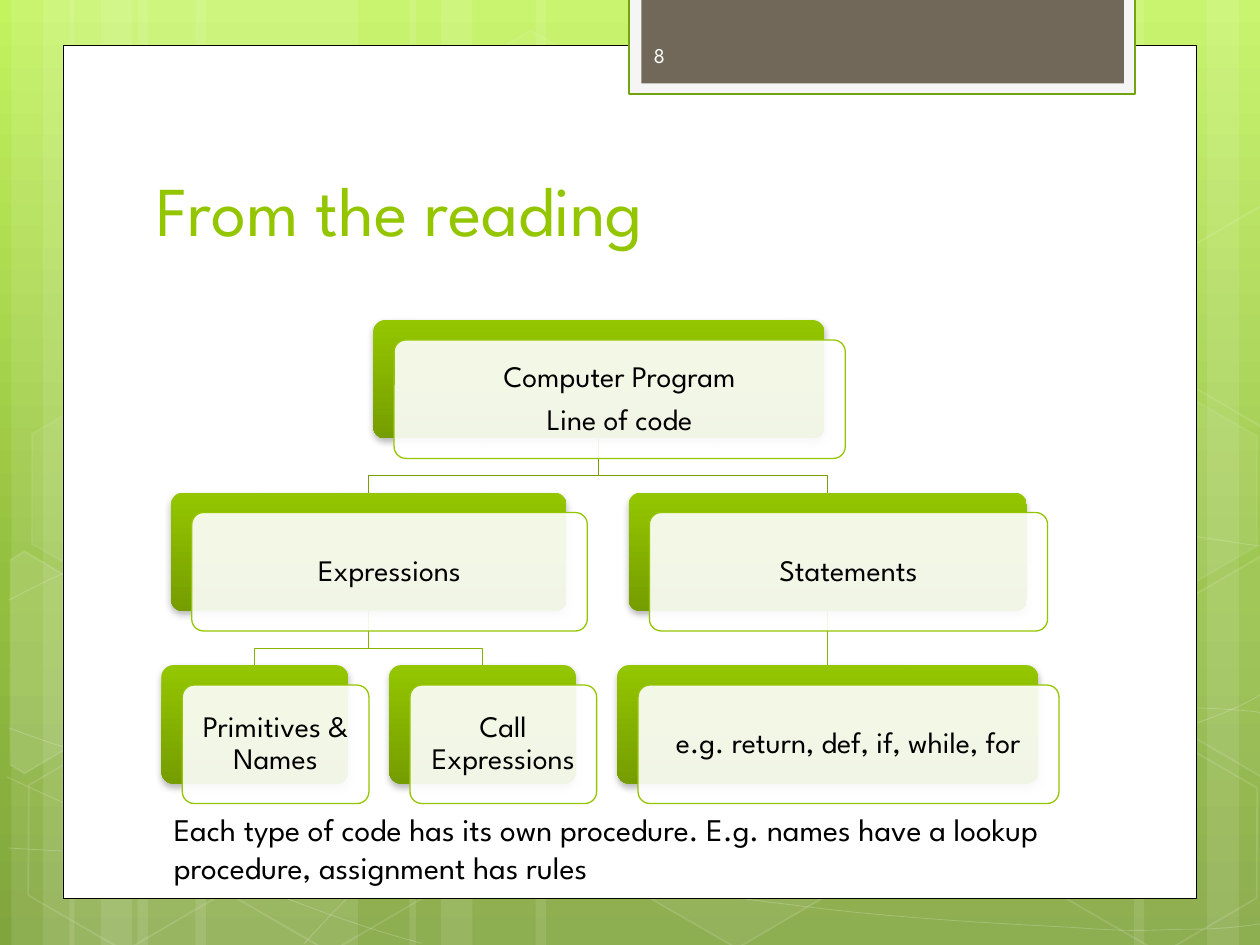
from collections import namedtuple
from pptx import Presentation
from pptx.dml.color import RGBColor
from pptx.enum.shapes import MSO_CONNECTOR as Connector, MSO_SHAPE as Preset
from pptx.enum.text import MSO_ANCHOR as Anchor, PP_ALIGN as Align
from pptx.oxml.ns import qn
from pptx.util import Pt
from copy import deepcopy
from lxml.etree import SubElement

FONT = "League Spartan"
WHITE, BLACK, GREEN, DARK_GREEN = "FFFFFF", "000000", "94C600", "769D00"
CARD_HEIGHT, ROW_TOP, ROW_PITCH = 67.7, 182.9, 98.6
OFFSET_X, OFFSET_Y, ELBOW_DROP = 11.9, 11.4, 21.3

Card = namedtuple("Card", "label center width row parent")
CARDS = [
    Card("Computer Program\nLine of code", 342.2, 257.8, 0, None),
    Card("Expressions", 210.7, 226, 1, 0),
    Card("Primitives & Names", 145.6, 106.6, 2, 1),
    Card("Call Expressions", 275.7, 106.6, 2, 1),
    Card("Statements", 473, 227.5, 1, 0),
    Card("e.g. return, def, if, while, for", 473, 240.5, 2, 4),
]

# Left edge and width of each translucent stripe
STRIPES = [(78.5, 126), (6.5, 36), (24.5, 60), (111.6, 126), (39.6, 36),
           (57.6, 60), (527.8, 126), (689.8, 30.2), (648, 60),
           (306, 221.8), (234, 36), (252, 60)]

# Start point followed by Bezier control points, three per segment
CURVES = [
    [(5, 484.6), (44, 487), (83, 489), (137, 488), (191, 487), (258, 486), (330, 479),
     (402, 472), (504, 458), (570, 444), (636, 431), (703, 409), (720, 397)],
    [(5, 343), (26, 332), (47, 321), (87, 310), (128, 300), (186, 284), (250, 279),
     (314, 274), (392, 273), (471, 279), (550, 284), (682, 307), (720, 312)],
    [(4, 444), (91, 484), (178, 523), (241, 539)],
    [(5, 416), (27, 424), (50, 432), (92, 443.5), (134, 454), (197, 472), (257, 484.6),
     (317, 497), (392, 510), (452, 517), (512, 525), (576, 528), (614, 530),
     (652, 533), (662, 531), (680, 531), (699, 531), (712, 529), (720, 528)],
    [(174, 539), (187, 525), (200, 510), (217, 497.5), (235, 484), (259, 470), (279, 460),
     (300, 450), (312, 446), (338, 438.5), (364, 431), (413, 421), (438, 416),
     (464, 411), (467, 411), (490, 409.7), (512, 407.5), (547, 405), (572, 404.6),
     (597, 404), (638, 404.6), (638, 404.6), (665, 404.6), (686, 404.6), (686, 404.6),
     (699, 405), (711, 406), (718, 406.8), (720, 407.5), (720, 407), (720, 407.5)],
]

# Left, top, fill opacity and line opacity
HEXAGONS = [(240.5, 26, 4, 8), (357.8, 424, 6, 12), (8, 425.5, 0, 12),
            (10, 224.6, 7, 8), (125.3, 426.2, 0, 12), (600.5, 427, 0, 12),
            (600.5, 226, 7, 8)]

# Hexagons cut by the slide edge: outline and fill opacity
CUT_HEXAGONS = [
    ([(6, 320), (14, 315), (69, 348), (68, 410), (14, 442), (6, 437)], 10),
    ([(667, 349), (721, 317.5), (726, 321), (726, 441), (721, 444), (667, 412.5)], 4),
    ([(667, 149), (721, 117.4), (727, 121), (726, 241), (721, 244), (667, 212.4)], 0),
]


def rgb(color):
    return RGBColor.from_string(color)


def set_alpha(owner, route, opacity):
    node = owner._element.spPr.find("/".join(qn(tag) for tag in route))
    SubElement(node, qn("a:alpha"), val=str(opacity * 1000))


def style(shape, fill=None, line=None, weight=1, fill_alpha=100, line_alpha=100):
    shape.shadow.inherit = False
    if fill and fill_alpha:
        shape.fill.solid()
        shape.fill.fore_color.rgb = rgb(fill)
        if fill_alpha < 100:
            set_alpha(shape, ("a:solidFill", "a:srgbClr"), fill_alpha)
    else:
        shape.fill.background()
    if line:
        shape.line.color.rgb = rgb(line)
        shape.line.width = Pt(weight)
        if line_alpha < 100:
            set_alpha(shape, ("a:ln", "a:solidFill", "a:srgbClr"), line_alpha)
    else:
        shape.line.fill.background()
    return shape


def set_gradient(owner, fill, stops):
    fill.gradient()
    fill.gradient_angle = 270
    stop_list = owner._element.find(".//" + qn("a:gsLst"))
    while len(stop_list) < len(stops):
        stop_list.append(deepcopy(stop_list[0]))
    for stop, (position, color) in zip(fill.gradient_stops, stops):
        stop.position = position
        stop.color.rgb = rgb(color)


def add_preset(page, preset, left, top, width, height, **look):
    shape = page.shapes.add_shape(preset, Pt(left), Pt(top), Pt(width), Pt(height))
    return style(shape, **look)


def add_outline(page, points, close=False, **look):
    points = [(Pt(x), Pt(y)) for x, y in points]
    builder = page.shapes.build_freeform(*points[0])
    builder.add_line_segments(points[1:], close=close)
    return style(builder.convert_to_shape(), **look)


def add_curve(page, points, **look):
    shape = add_outline(page, points, **look)
    outline = shape._element.find(".//" + qn("a:path"))
    segments = outline.findall(qn("a:lnTo"))
    for index, segment in enumerate(segments):
        if index % 3 == 0:
            bezier = SubElement(outline, qn("a:cubicBezTo"))
        bezier.append(segment[0])
        outline.remove(segment)


def write(shape, text, size, color=BLACK, anchor=Anchor.TOP, align=Align.LEFT,
          margin=None, spacing=None, after=None):
    frame = shape.text_frame
    frame.word_wrap = True
    frame.vertical_anchor = anchor
    if margin is not None:
        frame.margin_left = frame.margin_right = Pt(margin)
        frame.margin_top = frame.margin_bottom = Pt(margin)
    frame.text = text
    for para in frame.paragraphs:
        para.alignment = align
        para.line_spacing = spacing
        para.space_after = None if after is None else Pt(after)
        for span in para.runs:
            span.font.name, span.font.size = FONT, Pt(size)
            span.font.color.rgb = rgb(color)


def add_text(page, left, top, width, height, text, size, **form):
    box = page.shapes.add_textbox(Pt(left), Pt(top), Pt(width), Pt(height))
    write(box, text, size, **form)


def add_shadow(shape):
    effects = shape._element.spPr.find(qn("a:effectLst"))
    shadow = SubElement(effects, qn("a:outerShdw"), blurRad=str(Pt(4)),
                        dist=str(Pt(2)), dir="5400000", rotWithShape="0")
    SubElement(SubElement(shadow, qn("a:srgbClr"), val=BLACK), qn("a:alpha"), val="28000")


def add_link(page, parent, child):
    start = ROW_TOP + parent.row * ROW_PITCH + CARD_HEIGHT
    end = ROW_TOP + child.row * ROW_PITCH
    color = "86B400" if parent.row else "779F00"
    if parent.center == child.center:
        link = page.shapes.add_connector(Connector.STRAIGHT, Pt(parent.center), Pt(start),
                                         Pt(child.center), Pt(end))
        link.line.color.rgb = rgb(color)
        link.line.width = Pt(0.75)
        SubElement(link._element.spPr, qn("a:effectLst"))
        return
    bend = start + ELBOW_DROP
    add_outline(page, [(parent.center, start), (parent.center, bend),
                       (child.center, bend), (child.center, end)], line=color, weight=0.75)


def add_card(page, card):
    left, top = card.center - card.width / 2, ROW_TOP + card.row * ROW_PITCH
    back = add_preset(page, Preset.ROUNDED_RECTANGLE, left, top, card.width, CARD_HEIGHT)
    set_gradient(back, back.fill, [(0, GREEN), (1, DARK_GREEN)])
    add_shadow(back)
    front = add_preset(page, Preset.ROUNDED_RECTANGLE, left + OFFSET_X, top + OFFSET_Y,
                       card.width, CARD_HEIGHT, fill=WHITE, fill_alpha=90,
                       line=GREEN, weight=0.75)
    back.adjustments[0] = front.adjustments[0] = 0.1
    write(front, card.label, 17, anchor=Anchor.MIDDLE, align=Align.CENTER,
          margin=7, spacing=0.9, after=6)


def add_backdrop(page):
    set_gradient(page, page.background.fill, [(0, "C3F35F"), (0.62, "93BF3F"), (1, "81A53E")])
    for left, width in STRIPES:
        add_preset(page, Preset.RECTANGLE, left, 0, width, 540, fill=WHITE, fill_alpha=10)
    for points in CURVES:
        add_curve(page, points, line=WHITE, weight=0.5, line_alpha=20)
    for left, top, fill_alpha, line_alpha in HEXAGONS:
        hexagon = add_preset(page, Preset.HEXAGON, left, top, 126, 109.4, fill=WHITE,
                             fill_alpha=fill_alpha, line=WHITE, line_alpha=line_alpha)
        hexagon.adjustments[0] = 0.285
        hexagon.rotation = 30
    for points, fill_alpha in CUT_HEXAGONS:
        add_outline(page, points, close=True, fill=WHITE, fill_alpha=fill_alpha,
                    line=WHITE, line_alpha=12)


def main():
    deck = Presentation()
    deck.slide_width, deck.slide_height = Pt(720), Pt(540)
    page = deck.slides.add_slide(deck.slide_layouts[6])
    add_backdrop(page)

    # Panel and header tab
    add_preset(page, Preset.RECTANGLE, 36, 26, 648, 487.4, fill=WHITE, line=BLACK, weight=0.5)
    add_preset(page, Preset.RECTANGLE, 359.3, -1.4, 289.4, 55.4, fill="F5F5F5",
               line="74A510", weight=1.25)
    add_preset(page, Preset.RECTANGLE, 366.5, -1.4, 275.8, 49, fill="71685A")
    add_text(page, 82.1, 56.9, 553, 90, "From the reading", 40, color=GREEN, anchor=Anchor.BOTTOM)
    add_text(page, 366.5, 17.3, 105, 28.8, "8", 12, color="FEFEFE", anchor=Anchor.MIDDLE)

    # Hierarchy: links lie under the cards
    for card in CARDS[1:]:
        add_link(page, CARDS[card.parent], card)
    for card in CARDS:
        add_card(page, card)

    add_text(page, 92.2, 459.4, 524.2, 51.1, "Each type of code has its own procedure. "
             "E.g. names have a lookup procedure, assignment has rules", 18)
    deck.save("out.pptx")


main()
